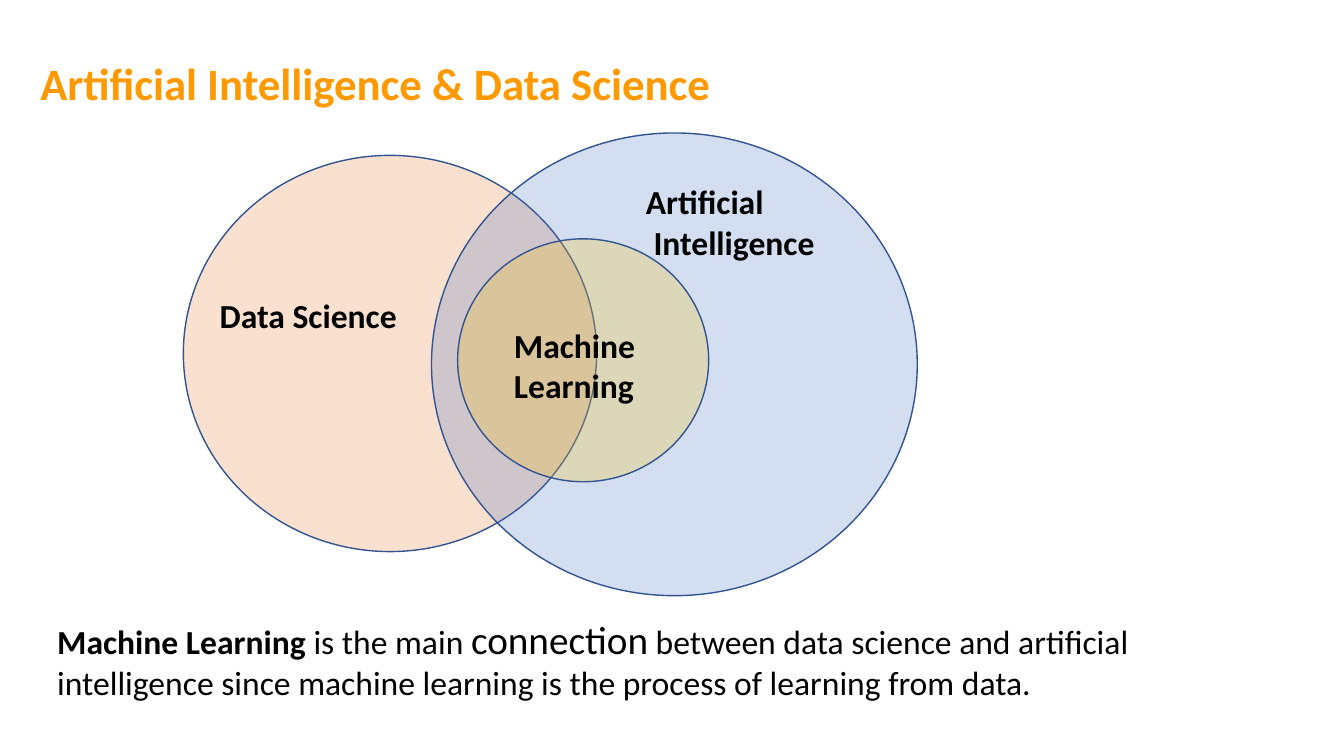
from pptx import Presentation
from pptx.dml.color import RGBColor
from pptx.enum import shapes, text
from pptx.oxml.ns import qn
from pptx.util import Pt
from lxml import etree

HUES = {
    "title": "FF9900",
    "text": "000000",
    "line": "325491",
    "data": "ED7D31",
    "mind": "4472C4",
    "learn": "FFC000",
}
ALPHA = 23


def hue(name):
    return RGBColor.from_string(HUES[name])


def style(font, size, color="text", bold=True):
    font.name = "Calibri"
    font.size = Pt(size)
    font.bold = bold
    font.color.rgb = hue(color)


def add_box(slide, *area, wrap=True):
    frame = slide.shapes.add_textbox(*map(Pt, area)).text_frame
    frame.word_wrap = wrap
    return frame


def add_title(slide, words):
    frame = add_box(slide, 28.8, 0, 712, 79.2)
    frame.margin_left = frame.margin_right = 0
    frame.margin_top = frame.margin_bottom = 0
    frame.vertical_anchor = text.MSO_ANCHOR.BOTTOM
    para = frame.paragraphs[0]
    para.text = words
    para.line_spacing = 0.95
    style(para.font, 32, "title")


def add_circle(slide, color, *area):
    oval = slide.shapes.add_shape(shapes.MSO_SHAPE.OVAL, *map(Pt, area))
    oval.shadow.inherit = False
    oval.fill.solid()
    oval.fill.fore_color.rgb = hue(color)
    tint = oval.fill._xPr.find(qn("a:solidFill"))[0]
    etree.SubElement(tint, qn("a:alpha"), val=str(ALPHA * 1000))
    oval.line.color.rgb = hue("line")
    oval.line.width = Pt(1)


def add_label(slide, lines, *area):
    frame = add_box(slide, *area, wrap=False)
    frame.text = "\n".join(lines)
    for para in frame.paragraphs:
        style(para.font, 24)


def add_note(slide, parts, *area):
    para = add_box(slide, *area).paragraphs[0]
    for words, size, bold in parts:
        run = para.add_run()
        run.text = words
        style(run.font, size, bold=bold)


def main():
    deck = Presentation()
    deck.slide_width, deck.slide_height = Pt(960), Pt(540)
    slide = deck.slides.add_slide(deck.slide_layouts[6])

    add_title(slide, "Artificial Intelligence & Data Science")
    add_circle(slide, "data", 131, 111, 295.2, 283)
    add_circle(slide, "mind", 308.2, 95, 347, 330.5)
    add_note(slide, [
        ("Machine Learning", 24, True),
        (" is the main ", 24, False),
        ("connection", 28, False),
        (" between data science and artificial intelligence since machine "
         "learning is the process of learning from data.", 24, False),
    ], 33.8, 435.6, 811.4, 70.6)
    add_label(slide, ["Artificial", " Intelligence"], 454.3, 126, 136, 65.5)
    add_label(slide, ["Data Science"], 149.8, 207.4, 142.6, 36)
    add_circle(slide, "learn", 326.9, 170.6, 179.3, 173.5)
    add_label(slide, ["Machine", "Learning"], 360, 228.2, 107.3, 65.5)

    deck.save("out.pptx")


if __name__ == "__main__":
    main()
